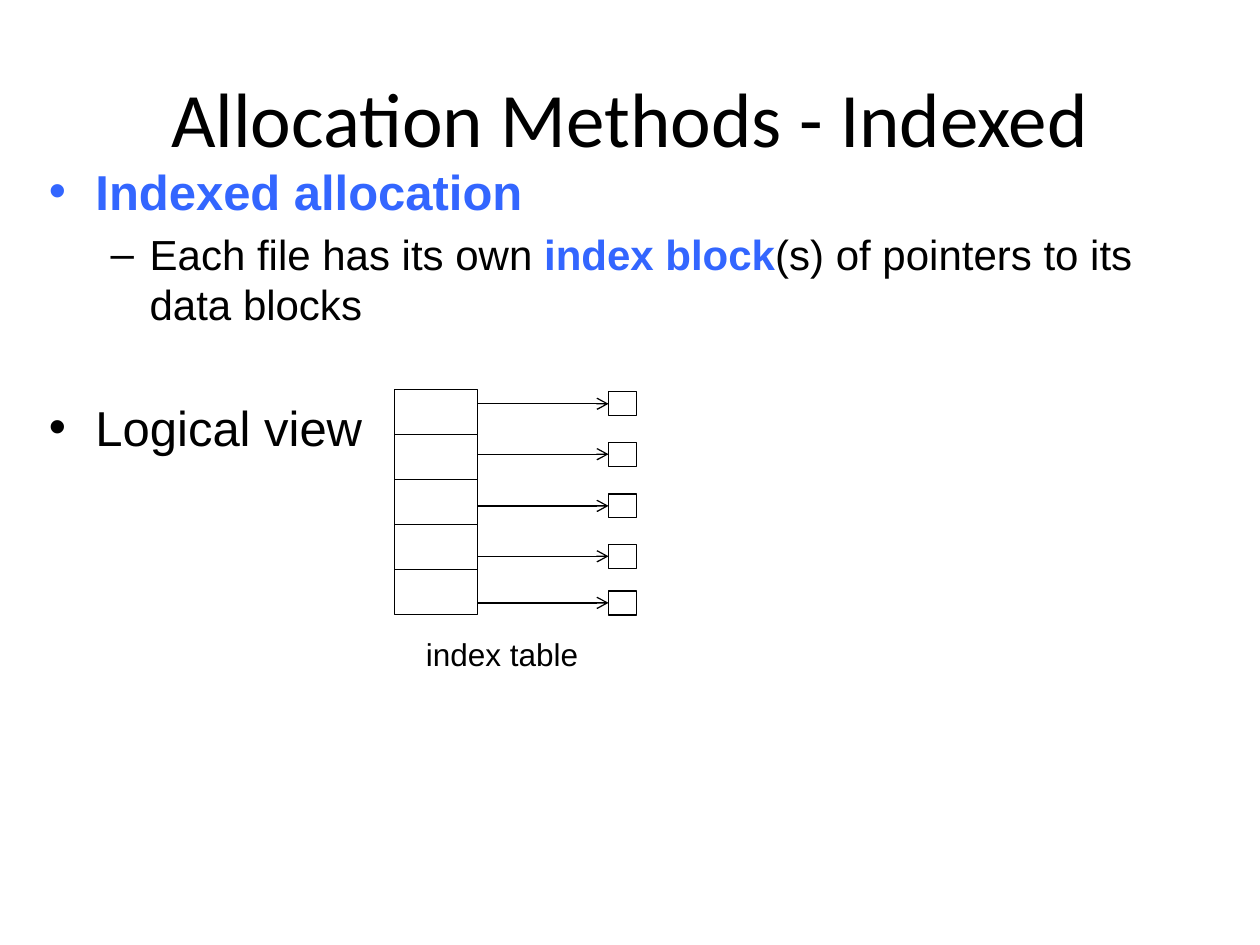
from dataclasses import dataclass

from lxml import etree
from pptx import Presentation
from pptx.dml.color import RGBColor
from pptx.enum import shapes, text
from pptx.oxml import ns
from pptx.util import Emu, Inches, Pt

COLUMNS, ROWS = 100, 75
SLIDE_WIDTH, SLIDE_HEIGHT = Inches(10), Inches(7.5)
BLACK, WHITE, BLUE = "000000", "FFFFFF", "3366FF"
ENTRY_COUNT = 5
DATA_BLOCK_ROWS = (31.1, 35.1, 39.2, 43.2, 46.9)


@dataclass(frozen=True)
class Area:
    column: float
    row: float
    columns: float
    rows: float

    def lengths(self) -> tuple:
        return (across(self.column), down(self.row),
                across(self.columns), down(self.rows))


@dataclass(frozen=True)
class Run:
    wording: str
    size: float
    color: str = BLACK
    bold: bool = False
    font: str = "Arial"


@dataclass(frozen=True)
class Bullet:
    symbol: str
    color: str
    margin: float
    indent: float
    level: int = 0


@dataclass(frozen=True)
class Line:
    runs: tuple
    space_before: float = 0
    bullet: Bullet | None = None


def across(columns: float) -> Emu:
    return Emu(round(SLIDE_WIDTH * columns / COLUMNS))


def down(rows: float) -> Emu:
    return Emu(round(SLIDE_HEIGHT * rows / ROWS))


def paint(color_format, color: str) -> None:
    color_format.rgb = RGBColor.from_string(color)


def add_bullet(paragraph, bullet: Bullet) -> None:
    paragraph.level = bullet.level
    properties = paragraph._p.get_or_add_pPr()
    properties.set("marL", str(Inches(bullet.margin)))
    properties.set("indent", str(Inches(bullet.indent)))
    color = etree.SubElement(properties, ns.qn("a:buClr"))
    etree.SubElement(color, ns.qn("a:srgbClr"), val=bullet.color)
    etree.SubElement(properties, ns.qn("a:buFont"), typeface="Arial")
    etree.SubElement(properties, ns.qn("a:buChar"), char=bullet.symbol)


def add_text(slide, area: Area, lines: tuple, anchor=text.MSO_ANCHOR.TOP,
             alignment=text.PP_ALIGN.LEFT, wrap: bool = True) -> None:
    frame = slide.shapes.add_textbox(*area.lengths()).text_frame
    frame.word_wrap = wrap
    frame.vertical_anchor = anchor
    for index, line in enumerate(lines):
        paragraph = frame.add_paragraph() if index else frame.paragraphs[0]
        paragraph.alignment = alignment
        paragraph.space_before = Pt(line.space_before)
        if line.bullet:
            add_bullet(paragraph, line.bullet)
        for part in line.runs:
            run = paragraph.add_run()
            run.text = part.wording
            run.font.name = part.font
            run.font.size = Pt(part.size)
            run.font.bold = part.bold
            paint(run.font.color, part.color)


def add_box(slide, area: Area):
    shape = slide.shapes.add_shape(shapes.MSO_SHAPE.RECTANGLE, *area.lengths())
    shape.shadow.inherit = False
    shape.fill.solid()
    paint(shape.fill.fore_color, WHITE)
    paint(shape.line.color, BLACK)
    shape.line.width = Pt(0.75)
    return shape


def add_pointer(slide, start_column: float, block) -> None:
    middle = block.top + block.height // 2
    connector = slide.shapes.add_connector(
        shapes.MSO_CONNECTOR.STRAIGHT,
        across(start_column), middle, block.left, middle)
    connector.end_connect(block, 1)
    paint(connector.line.color, BLACK)
    connector.line.width = Pt(0.75)
    etree.SubElement(connector.line._get_or_add_ln(), ns.qn("a:tailEnd"), type="arrow")
    etree.SubElement(connector._element.spPr, ns.qn("a:effectLst"))


def main() -> None:
    presentation = Presentation()
    presentation.slide_width, presentation.slide_height = SLIDE_WIDTH, SLIDE_HEIGHT
    slide = presentation.slides.add_slide(presentation.slide_layouts[6])

    title = Run("Allocation Methods - Indexed", 44, font="Calibri")
    add_text(slide, Area(5, 3, 90, 12.5), (Line((title,)),),
             text.MSO_ANCHOR.MIDDLE, text.PP_ALIGN.CENTER)

    add_text(slide, Area(2.8, 12.3, 90, 49.5), (
        Line((Run("Indexed allocation", 28, BLUE, True),), 5.6,
             Bullet("•", BLUE, 0.38, -0.37)),
        Line((Run("Each file has its own ", 24),
              Run("index block", 24, BLUE, True),
              Run("(s) of pointers to its data blocks", 24)), 4.8,
             Bullet("–", BLACK, 0.81, -0.31, 1)),
        Line((Run("Logical view", 28),), 38.8,
             Bullet("•", BLACK, 0.38, -0.37)),
    ))

    entry = Area(31.3, 30.9, 6.6, 3.58)
    for index in range(ENTRY_COUNT):
        add_box(slide, Area(entry.column, entry.row + index * entry.rows,
                            entry.columns, entry.rows))
    blocks = [add_box(slide, Area(48.3, row, 2.2, 1.9)) for row in DATA_BLOCK_ROWS]
    for block in blocks:
        add_pointer(slide, entry.column + entry.columns, block)

    add_text(slide, Area(32.8, 49.9, 14.1, 4), (Line((Run("index table", 18),), 9),),
             text.MSO_ANCHOR.MIDDLE, text.PP_ALIGN.CENTER, False)
    presentation.save("out.pptx")


if __name__ == "__main__":
    main()
